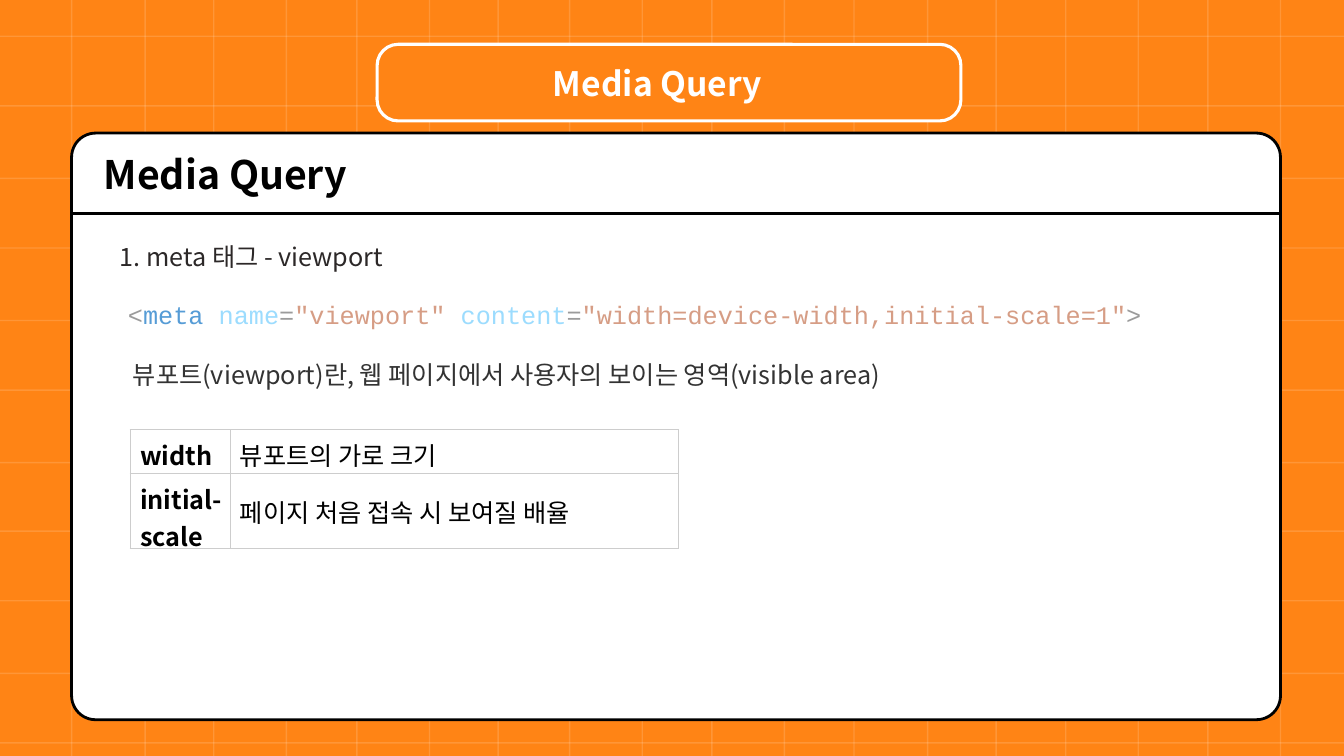
from lxml.etree import SubElement
from pptx import Presentation
from pptx.dml.color import RGBColor
from pptx.enum.shapes import MSO_CONNECTOR, MSO_SHAPE
from pptx.enum.text import MSO_ANCHOR, PP_ALIGN
from pptx.oxml import parse_xml
from pptx.oxml.ns import nsdecls, qn
from pptx.util import Emu, Pt

W, H = 1333, 750
ORANGE, WHITE, BLACK = "FF8415", "FFFFFF", "000000"
DARK, GRAY, BORDER = "2C2828", "333333", "CDCDCD"
TAG, ATTR, VALUE, MARK = "569CD6", "9CDCFE", "D69D85", "9B9B9B"


def px(n):
    return Emu(n * 9144)


def rgb(color):
    return RGBColor.from_string(color)


class Deck:
    font = "Noto Sans CJK KR"
    code_font = "Courier New"

    def __init__(self):
        self.prs = Presentation()
        self.prs.slide_width, self.prs.slide_height = px(W), px(H)

    def slide(self, color):
        self.s = self.prs.slides.add_slide(self.prs.slide_layouts[5])
        fill = self.s.background.fill
        fill.solid()
        fill.fore_color.rgb = rgb(color)

    def line(self, x1, y1, x2, y2, color, width, alpha=None):
        c = self.s.shapes.add_connector(
            MSO_CONNECTOR.STRAIGHT, px(x1), px(y1), px(x2), px(y2))
        c.line.color.rgb = rgb(color)
        c.line.width = Pt(width)
        if alpha:
            clr = c._element.spPr.find(".//" + qn("a:srgbClr"))
            SubElement(clr, qn("a:alpha")).set("val", str(alpha * 1000))
        SubElement(c._element.spPr, qn("a:effectLst"))

    def box(self, x, y, w, h, radius, fill, color, width):
        sp = self.s.shapes.add_shape(
            MSO_SHAPE.ROUNDED_RECTANGLE, px(x), px(y), px(w), px(h))
        sp.adjustments[0] = radius
        sp.shadow.inherit = False
        sp.fill.solid()
        sp.fill.fore_color.rgb = rgb(fill)
        sp.line.color.rgb = rgb(color)
        sp.line.width = Pt(width)

    def add_runs(self, tf, runs, size, bold=False, align=PP_ALIGN.LEFT, font=None):
        tf.word_wrap = True
        p = tf.paragraphs[0]
        p.alignment = align
        for text, color in runs:
            r = p.add_run()
            r.text = text
            r.font.name = font or self.font
            r.font.size = Pt(size)
            r.font.bold = bold
            r.font.color.rgb = rgb(color)
            # East Asian typeface for the Korean characters
            SubElement(r._r.rPr, qn("a:ea")).set("typeface", r.font.name)

    def title(self, x, y, w, h, text, color, size):
        sp = self.s.shapes.title
        sp.left, sp.top, sp.width, sp.height = px(x), px(y), px(w), px(h)
        sp.text_frame.vertical_anchor = MSO_ANCHOR.TOP
        self.add_runs(sp.text_frame, [(text, color)], size, bold=True)
        self.s.shapes._spTree.append(sp._element)  # in front of the card

    def text(self, x, y, w, h, runs, size, **style):
        sp = self.s.shapes.add_textbox(px(x), px(y), px(w), px(h))
        self.add_runs(sp.text_frame, runs, size, **style)

    def table(self, x, y, cols, heights, rows, size):
        frame = self.s.shapes.add_table(
            len(rows), len(cols), px(x), px(y), px(sum(cols)), px(sum(heights)))
        tbl = frame.table
        tbl.first_row = tbl.horz_banding = False
        for col, w in zip(tbl.columns, cols):
            col.width = px(w)
        for i, row in enumerate(rows):
            tbl.rows[i].height = px(heights[i])
            for j, value in enumerate(row):
                self.cell(tbl.cell(i, j), value, size, bold=j == 0)

    def cell(self, cell, value, size, bold):
        cell.vertical_anchor = MSO_ANCHOR.MIDDLE
        cell.margin_left = px(10)
        cell.margin_right = cell.margin_top = cell.margin_bottom = px(7)
        cell.fill.background()
        self.add_runs(cell.text_frame, [(value, BLACK)], size, bold=bold)
        for k, side in enumerate("LRTB"):
            cell._tc.tcPr.insert(k, parse_xml(
                f'<a:ln{side} w="{Pt(0.6)}" {nsdecls("a")}><a:solidFill>'
                f'<a:srgbClr val="{BORDER}"/></a:solidFill></a:ln{side}>'))


def main():
    d = Deck()
    d.slide(ORANGE)

    # Background grid
    for y in (36, 105, 177, 246, 318, 387, 459, 527, 596, 668, 737):
        d.line(0, y, W, y, WHITE, 1, alpha=15)
    for x in (71, 144, 212, 284, 354, 426, 494, 565, 637,
              706, 778, 847, 920, 988, 1057, 1129, 1198, 1270):
        d.line(x, 0, x, H, WHITE, 1, alpha=15)

    # Chapter label and card
    d.box(374, 44, 579, 76, 0.275, ORANGE, WHITE, 2.25)
    d.box(71, 132, 1199, 582, 0.041, WHITE, BLACK, 2)
    d.line(71, 212, 1270, 212, BLACK, 2)
    d.title(93, 144, 758, 57, "Media Query", BLACK, 28)
    d.text(425, 58, 454, 50, [("Media Query", WHITE)], 24,
           bold=True, align=PP_ALIGN.CENTER)

    # Viewport tag and its explanation
    d.text(109, 234, 860, 40, [("1. meta 태그 - viewport", DARK)], 18)
    d.text(117, 292, 1058, 40, [
        ("<", MARK), ("meta ", TAG),
        ("name", ATTR), ("=", MARK), ('"viewport" ', VALUE),
        ("content", ATTR), ("=", MARK),
        ('"width=device-width,initial-scale=1"', VALUE), (">", MARK),
    ], 18, font=d.code_font)
    d.text(122, 352, 923, 40, [
        ("뷰포트(viewport)란, 웹 페이지에서 사용자의 보이는 영역(visible area)", GRAY)], 18)

    # Viewport properties
    d.table(129, 426, [99, 445], [43, 74], [
        ["width", "뷰포트의 가로 크기"],
        ["initial-scale", "페이지 처음 접속 시 보여질 배율"],
    ], 18)

    d.prs.save("out.pptx")


if __name__ == "__main__":
    main()
